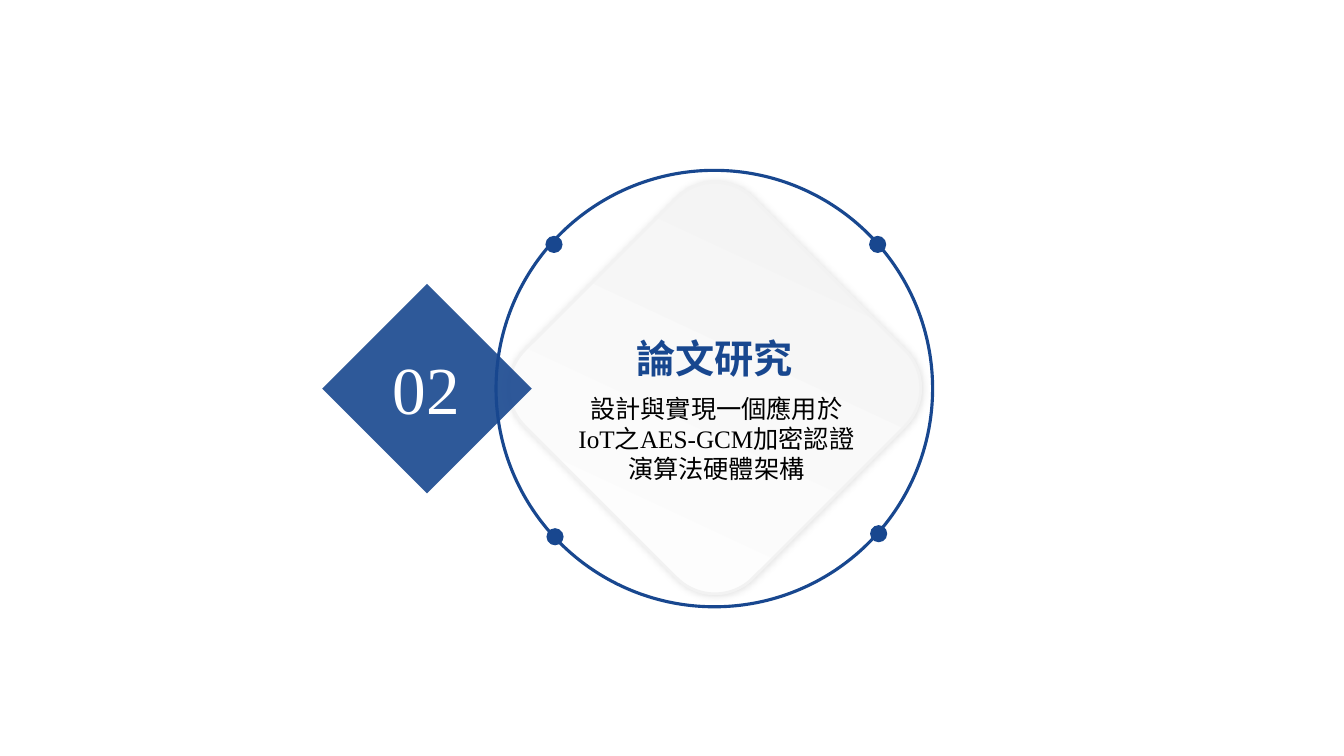
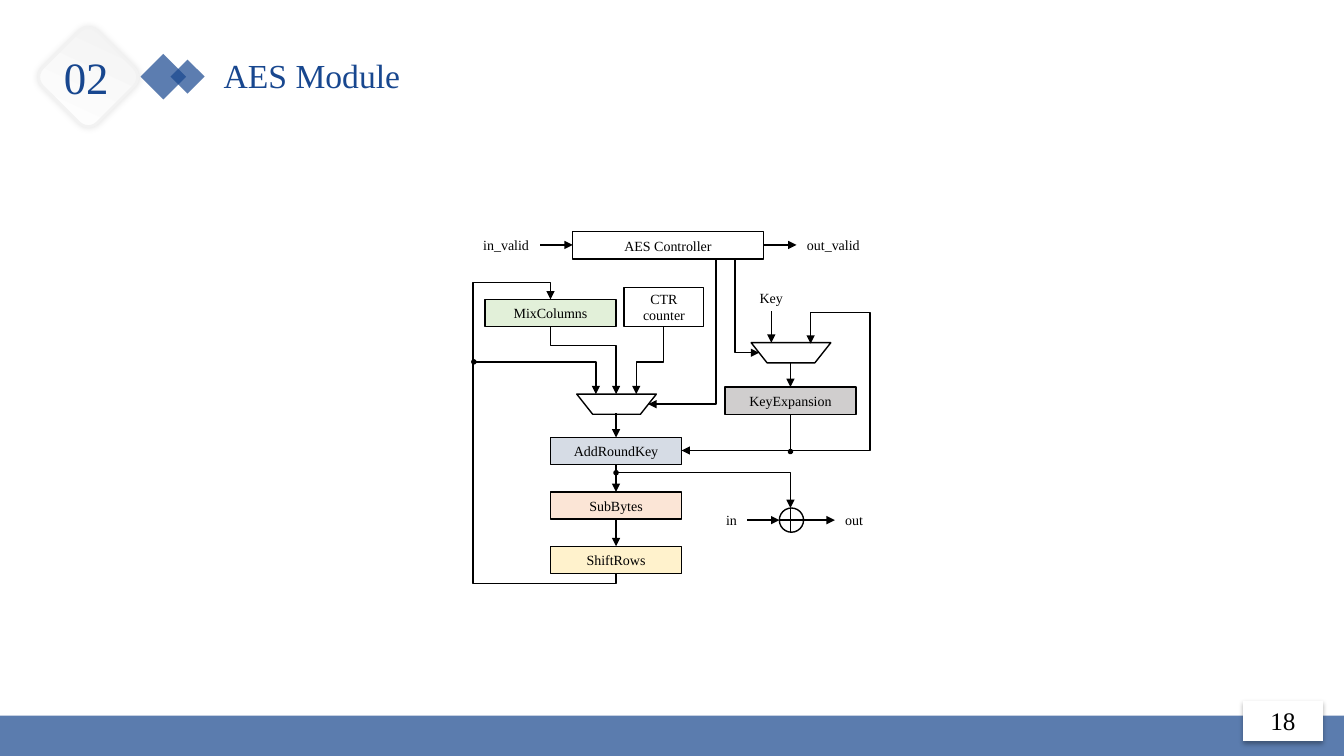
from dataclasses import dataclass

from lxml import etree
from pptx import Presentation
from pptx import util as u
from pptx.dml.color import RGBColor
from pptx.enum import shapes, text
from pptx.oxml.ns import qn

PX = 9144  # EMU in one px, 100 px to the inch


@dataclass(frozen=True)
class Theme:
    font: str = "Times New Roman"
    blue: str = "18478F"
    footer: str = "5B7CAE"
    pale: str = "F2F2F2"
    white: str = "FFFFFF"
    ink: str = "000000"
    steel: str = "D6DCE5"
    peach: str = "FBE5D6"
    cream: str = "FFF2CC"
    green: str = "E2F0D9"
    grey: str = "D0CECE"
    number_size: int = 48
    badge_size: int = 32
    heading_size: int = 28
    title_size: int = 24
    body_size: int = 18
    label_size: int = 10


theme = Theme()
kinds = shapes.MSO_SHAPE


def draw(slide, kind, box, words="", size=theme.label_size, color=theme.ink,
         fill=None, alpha=100, line=None, weight=1, turn=0, shadow=None,
         bold=False, wrap=False, centred=True):
    """Add a preset shape, or a text box when kind is None."""
    place = [value * PX for value in box]
    if kind is None:
        shape = slide.shapes.add_textbox(*place)
    else:
        shape = slide.shapes.add_shape(kind, *place)
        shape.rotation = turn
        shape.shadow.inherit = False
        if fill:
            shape.fill.solid()
            shape.fill.fore_color.rgb = RGBColor.from_string(fill)
            if alpha < 100:
                tint = shape._element.spPr.find(".//" + qn("a:srgbClr"))
                etree.SubElement(tint, qn("a:alpha"), val=str(alpha * 1000))
        else:
            shape.fill.background()
        if line:
            shape.line.color.rgb = RGBColor.from_string(line)
            shape.line.width = u.Pt(weight)
        else:
            shape.line.fill.background()
        if shadow:
            opacity, blur, distance, angle = shadow
            effects = shape._element.spPr.find(qn("a:effectLst"))
            outer = etree.SubElement(
                effects, qn("a:outerShdw"), blurRad=str(u.Pt(blur)),
                dist=str(u.Pt(distance)), dir=str(angle * 60000),
                algn="ctr", rotWithShape="0")
            tint = etree.SubElement(outer, qn("a:srgbClr"), val=theme.ink)
            etree.SubElement(tint, qn("a:alpha"), val=str(opacity * 1000))
    if words:
        frame = shape.text_frame
        frame.text = words
        frame.word_wrap = wrap or kind is not None
        if kind is None:
            frame.auto_size = text.MSO_AUTO_SIZE.SHAPE_TO_FIT_TEXT
        for paragraph in frame.paragraphs:
            paragraph.alignment = (text.PP_ALIGN.CENTER if centred
                                   else text.PP_ALIGN.LEFT)
            for run in paragraph.runs:
                run.font.name = theme.font
                run.font.size = u.Pt(size)
                run.font.bold = bold
                run.font.color.rgb = RGBColor.from_string(color)
    return shape


def connect(slide, *points, arrow=True):
    """Add a straight or right-angled connector through the given points."""
    (x0, y0), (x1, y1) = points[0], points[-1]
    bends = points[1:-1]
    if not bends:
        connector = slide.shapes.add_connector(
            shapes.MSO_CONNECTOR.STRAIGHT, x0 * PX, y0 * PX, x1 * PX, y1 * PX)
    else:
        # A route that starts vertically is a turned box with swapped sides
        vertical = bends[0][0] == x0
        right, up = x1 > x0, y1 < y0
        across, down = abs(x1 - x0) * PX, abs(y1 - y0) * PX
        width, height = (down, across) if vertical else (across, down)
        left = (x0 + x1) * PX // 2 - width // 2
        top = (y0 + y1) * PX // 2 - height // 2
        connector = slide.shapes.add_connector(
            shapes.MSO_CONNECTOR.ELBOW, left, top, left + width, top + height)
        frame = connector._element.spPr.find(qn("a:xfrm"))
        if vertical:
            turn = 270 if right and not up else 90
            frame.set("rot", str(turn * 60000))
            flips = (right or up, right and up)
        else:
            flips = (not right, up)
        for name, flipped in zip(("flipH", "flipV"), flips):
            if flipped:
                frame.set(name, "1")
        geometry = connector._element.spPr.find(qn("a:prstGeom"))
        geometry.set("prst", f"bentConnector{len(bends) + 1}")
        guides = geometry.find(qn("a:avLst"))
        if guides is None:
            guides = etree.SubElement(geometry, qn("a:avLst"))
        for index, (x, y) in enumerate(bends[:-1]):
            along_y = vertical == (index % 2 == 0)
            ratio = (y - y0) / (y1 - y0) if along_y else (x - x0) / (x1 - x0)
            etree.SubElement(guides, qn("a:gd"), name=f"adj{index + 1}",
                             fmla=f"val {round(ratio * 100000)}")
    connector.line.color.rgb = RGBColor.from_string(theme.ink)
    connector.line.width = u.Pt(1)
    properties = connector._element.spPr
    if arrow:
        etree.SubElement(properties.find(qn("a:ln")), qn("a:tailEnd"),
                         type="triangle")
    etree.SubElement(properties, qn("a:effectLst"))


presentation = Presentation()
presentation.slide_width = 1333 * PX
presentation.slide_height = 750 * PX
blank = presentation.slide_layouts[6]
section = presentation.slides.add_slide(blank)
module = presentation.slides.add_slide(blank)

# Shared gradient diamond
for slide, box in ((section, (549, 225, 320, 320)), (module, (49, 38, 77, 77))):
    diamond = draw(slide, kinds.ROUNDED_RECTANGLE, box, line=theme.pale,
                   weight=2, turn=45, shadow=(11, 5, 0, 0))
    diamond.fill.gradient()
    diamond.fill.gradient_angle = 110
    for stop, color in zip(diamond.fill.gradient_stops,
                           (theme.white, theme.pale)):
        stop.color.rgb = RGBColor.from_string(color)
    for stop, position in zip(diamond.fill.gradient_stops, (0, 1)):
        stop.position = position

# Section slide: ring with four dots
draw(section, kinds.OVAL, (492, 169, 433, 433), line=theme.blue, weight=2.25)
for left, top in ((541, 234), (863, 521), (542, 524), (862, 234)):
    draw(section, kinds.OVAL, (left, top, 17, 17), fill=theme.blue)

# Section slide: number and titles
draw(section, None, (533, 327, 351, 57), "論文研究", theme.heading_size,
     theme.blue, bold=True, wrap=True)
draw(section, kinds.RECTANGLE, (350, 312, 147, 147), fill=theme.blue,
     alpha=90, turn=225)
draw(section, None, (379, 340, 88, 91), "02", theme.number_size, theme.white)
draw(section, None, (558, 385, 305, 101),
     "設計與實現一個應用於IoT之AES-GCM加密認證演算法硬體架構",
     theme.body_size, wrap=True)

# Module slide: header
for left, top, side in ((146, 60, 32), (174, 64, 24)):
    draw(module, kinds.RECTANGLE, (left, top, side, side), fill=theme.blue,
         alpha=70, turn=225)
draw(module, None, (212, 50, 350, 50), "AES Module", theme.title_size,
     theme.blue, wrap=True, centred=False)
draw(module, None, (53, 44, 65, 64), "02", theme.badge_size, theme.blue)

# Blocks
blocks = [
    ("AES Controller", (568, 230, 189, 27), None),
    ("CTR\ncounter", (619, 285, 79, 39), None),
    ("MixColumns", (481, 297, 130, 27), theme.green),
    ("KeyExpansion", (719, 384, 130, 27), theme.grey),
]
stages = (("AddRoundKey", theme.steel), ("SubBytes", theme.peach),
          ("ShiftRows", theme.cream))
for row, (name, fill) in enumerate(stages):
    blocks.append((name, (546, 434 + 54 * row, 130, 27), fill))
for name, box, fill in blocks:
    draw(module, kinds.RECTANGLE, box, name, fill=fill, line=theme.ink)

# Multiplexers and XOR gate
for left, top in ((745, 340), (572, 391)):
    draw(module, kinds.FLOWCHART_MANUAL_OPERATION, (left, top, 79, 20),
         line=theme.ink)
draw(module, kinds.OVAL, (773, 504, 24, 24), line=theme.ink)
connect(module, (784, 504), (784, 528), arrow=False)
connect(module, (773, 516), (796, 516), arrow=False)

# Signal names
for name, box in (
    ("Key", (743, 282, 44, 27)),
    ("in", (710, 503, 31, 27)),
    ("out", (828, 503, 38, 27)),
    ("in_valid", (469, 230, 66, 27)),
    ("out_valid", (790, 230, 73, 27)),
):
    draw(module, None, box, name)

# Wires
for route in (
    ((611, 410), (611, 434)),
    ((611, 461), (611, 488)),
    ((611, 515), (611, 542)),
    ((784, 360), (784, 384)),
    ((765, 309), (765, 340)),
    ((741, 516), (773, 516)),
    ((796, 516), (828, 516)),
    ((536, 243), (568, 243)),
    ((757, 243), (790, 243)),
    ((611, 569), (611, 579), (469, 579), (469, 280), (546, 280), (546, 297)),
    ((546, 324), (546, 343), (611, 343), (611, 391)),
    ((470, 359), (591, 359), (591, 391)),
    ((658, 324), (658, 359), (631, 359), (631, 391)),
    ((784, 411), (784, 447), (676, 447)),
    ((784, 411), (784, 447), (863, 447), (863, 310), (804, 310), (804, 341)),
    ((611, 461), (611, 469), (784, 469), (784, 504)),
    ((729, 257), (729, 350), (753, 350)),
    ((710, 257), (710, 401), (643, 401)),
):
    connect(module, *route)

# Junctions
for x, y in ((470, 359), (784, 448), (611, 469)):
    draw(module, kinds.OVAL, (x - 2, y - 2, 4, 4), fill=theme.ink,
         line=theme.ink)

# Footer with page number
draw(module, kinds.RECTANGLE, (0, 710, 1333, 40), fill=theme.footer)
draw(module, kinds.RECTANGLE, (1233, 695, 79, 40), "18", theme.body_size,
     fill=theme.white, shadow=(32, 3.5, 2.2, 90))

presentation.save("out.pptx")
